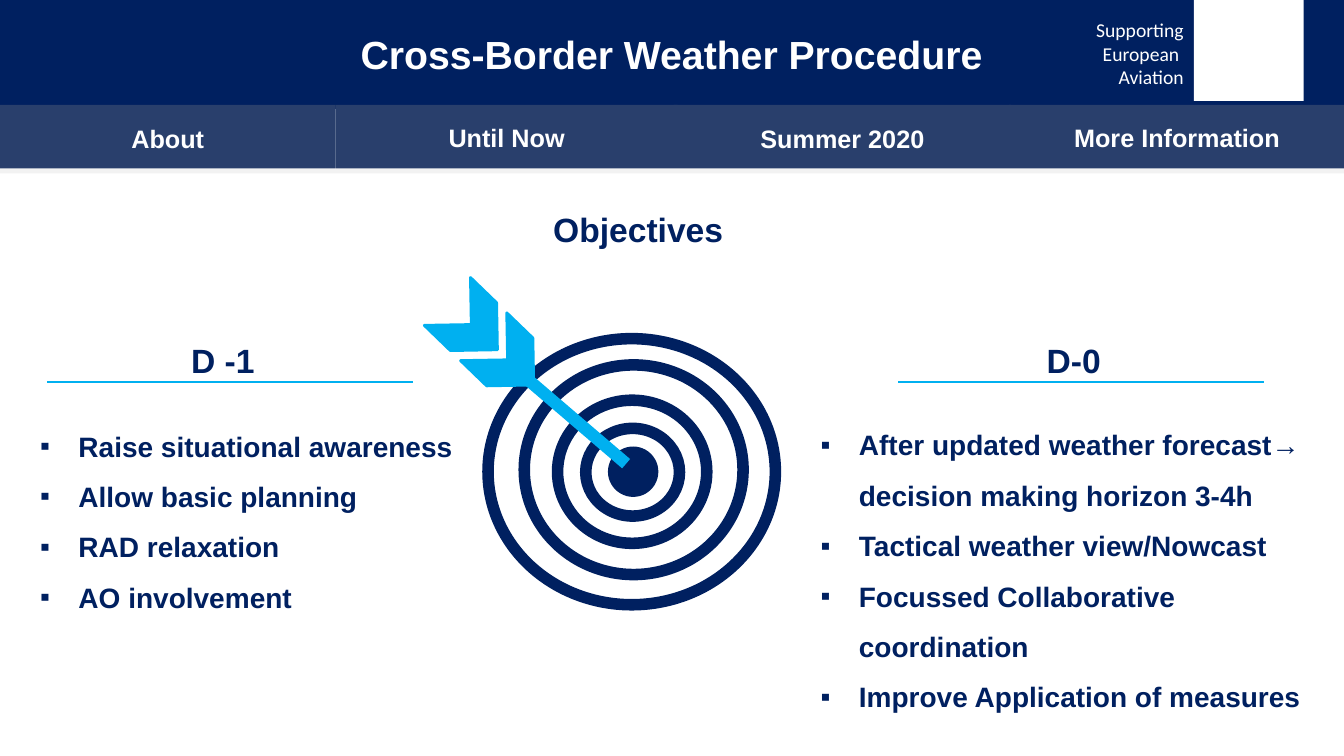
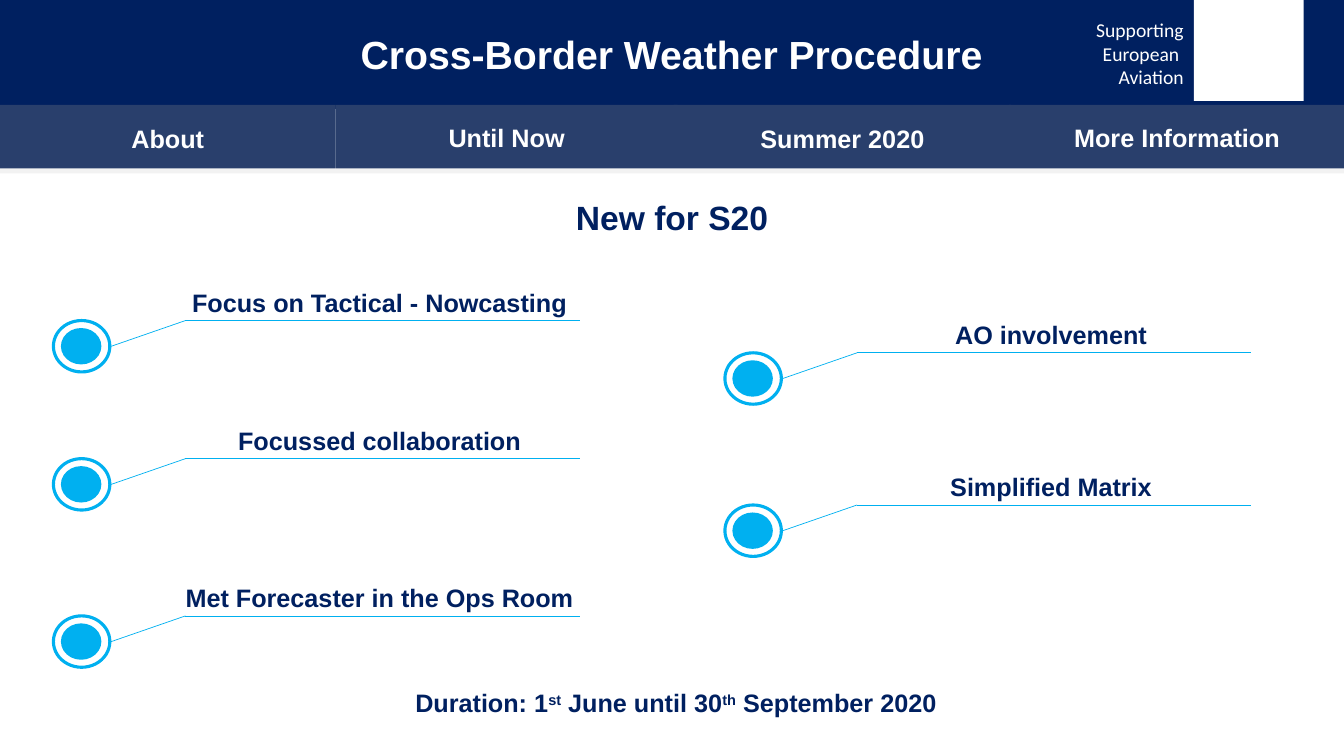
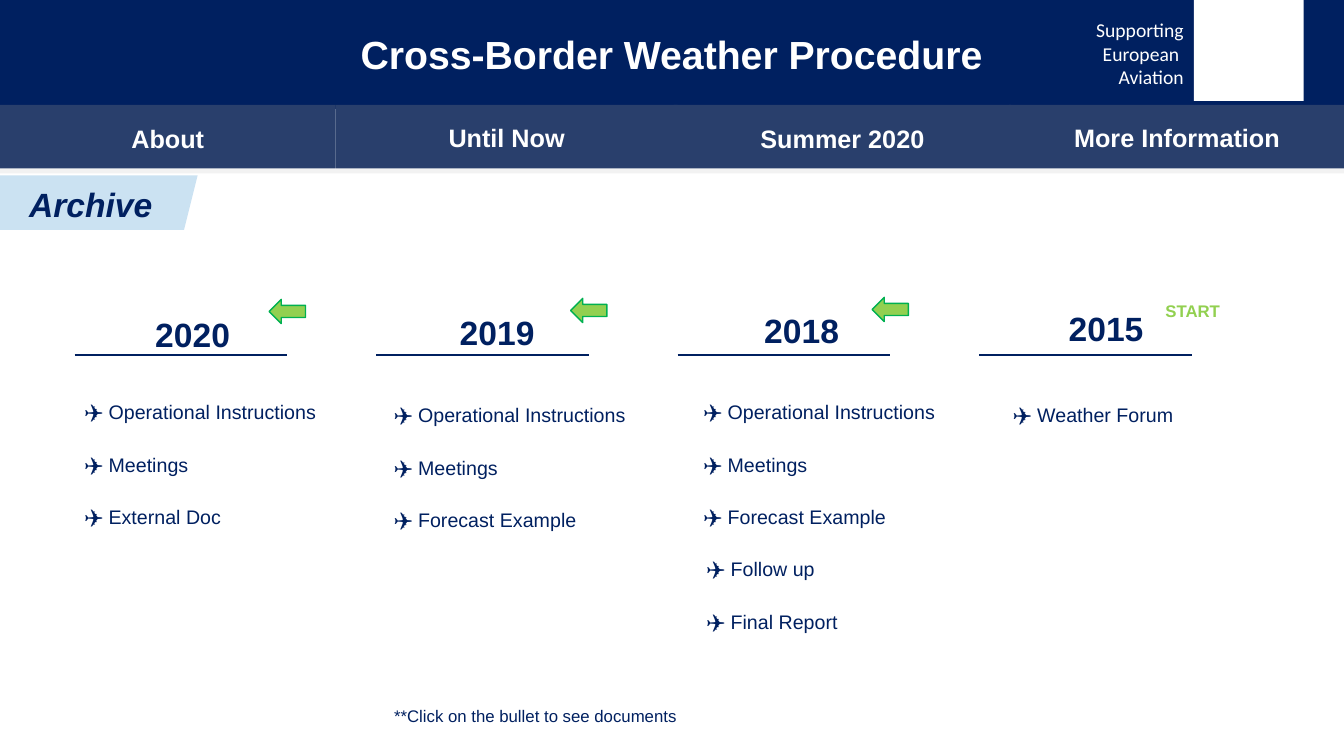
from lxml.etree import SubElement
from pptx import Presentation
from pptx.dml.color import RGBColor
from pptx.enum.shapes import MSO_CONNECTOR, MSO_SHAPE
from pptx.enum.text import MSO_ANCHOR, PP_ALIGN
from pptx.oxml.ns import qn
from pptx.util import Inches, Pt

COLORS = {
    "navy": "002060",
    "menu": "293F6C",
    "sky": "00B0F0",
    "white": "FFFFFF",
    "strip": "F2F2F2",
    "tag": "7FB7DF",
    "lime": "92D050",
    "green": "00B050",
}

# Text styles: font values plus a colour name
STYLES = {
    "title": ({"name": "Arial", "size": Pt(28), "bold": True}, "white"),
    "menu": ({"name": "Arial", "size": Pt(18), "bold": True}, "white"),
    "tagline": ({"name": "Calibri", "size": Pt(14)}, "white"),
    "heading": ({"name": "Arial", "size": Pt(24), "bold": True}, "navy"),
    "archive": ({"name": "Arial", "size": Pt(24), "bold": True, "italic": True}, "navy"),
    "bullet": ({"name": "Arial", "size": Pt(20), "bold": True}, "navy"),
    "topic": ({"name": "Arial", "size": Pt(18), "bold": True}, "navy"),
    "document": ({"name": "Arial", "size": Pt(14)}, "navy"),
    "note": ({"name": "Arial", "size": Pt(12)}, "navy"),
    "start": ({"name": "Arial", "size": Pt(12), "bold": True}, "lime"),
}

# Menu cells: text, left, width, height
MENU = [
    ("About", 0, 3.33, 0.66),
    ("Summer 2020", 6.68, 3.35, 0.66),
    ("Until Now", 3.33, 3.39, 0.64),
    ("More Information", 10.01, 3.33, 0.65),
]

# Target rings: left, top, width, height
TARGET_RINGS = [
    (5.81, 4.25, 0.93, 0.87),
    (5.53, 3.97, 1.48, 1.42),
    (5.2, 3.62, 2.17, 2.08),
    (4.84, 3.36, 2.85, 2.64),
]

PLANNING = [
    "Raise situational awareness",
    "Allow basic planning",
    "RAD relaxation",
    "AO involvement",
]
TACTICAL = [
    "After updated weather forecast→ decision making horizon 3-4h",
    "Tactical weather view/Nowcast",
    "Focussed Collaborative coordination",
    "Improve Application of measures",
]

# Topics: text, left of the ring, top of the ring
TOPICS = [
    ("Focus on Tactical - Nowcasting", 0.53, 3.18),
    ("Focussed collaboration", 0.53, 4.55),
    ("AO involvement", 7.19, 3.5),
    ("Simplified Matrix", 7.19, 5.01),
    ("Met Forecaster in the Ops Room", 0.53, 6.11),
]

DURATION = [
    ("Duration: 1", False),
    ("st", True),
    (" June until 30", False),
    ("th", True),
    (" September 2020", False),
]

# Archive columns: year, top of the first document, documents
ARCHIVE = [
    ("2020", 3.92, ["Operational Instructions", "Meetings", "External Doc"]),
    ("2019", 3.95, ["Operational Instructions", "Meetings", "Forecast Example"]),
    ("2018", 3.92, ["Operational Instructions", "Meetings", "Forecast Example",
                    "Follow up", "Final Report"]),
    ("2015", 3.95, ["Weather Forum"]),
]


def rgb(color):
    return RGBColor.from_string(COLORS[color])


def format_font(font, style):
    values, color = STYLES[style]
    for name, value in values.items():
        setattr(font, name, value)
    font.color.rgb = rgb(color)


def add_shape(page, kind, at, fill=None, line=None, width=1):
    shape = page.shapes.add_shape(kind, *map(Inches, at))
    shape.shadow.inherit = False
    if fill:
        shape.fill.solid()
        shape.fill.fore_color.rgb = rgb(fill)
    else:
        shape.fill.background()
    if line:
        shape.line.color.rgb = rgb(line)
        shape.line.width = Pt(width)
    else:
        shape.line.fill.background()
    return shape


def add_band(page, at, fill, text, style):
    band = add_shape(page, MSO_SHAPE.RECTANGLE, at, fill)
    band.text_frame.vertical_anchor = MSO_ANCHOR.MIDDLE
    para = band.text_frame.paragraphs[0]
    para.text = text
    para.alignment = PP_ALIGN.CENTER
    format_font(para.font, style)


def add_text(page, at, text, style, align=PP_ALIGN.LEFT):
    box = page.shapes.add_textbox(*map(Inches, at))
    box.text_frame.word_wrap = True
    para = box.text_frame.paragraphs[0]
    para.text = text
    para.alignment = align
    format_font(para.font, style)
    return para


def add_bullets(page, at, texts):
    box = page.shapes.add_textbox(*map(Inches, at))
    frame = box.text_frame
    frame.word_wrap = True
    for index, text in enumerate(texts):
        para = frame.add_paragraph() if index else frame.paragraphs[0]
        para.text = text
        para.line_spacing = 1.5
        properties = para._p.get_or_add_pPr()
        properties.set("marL", str(Inches(0.38)))
        properties.set("indent", str(-Inches(0.38)))
        SubElement(properties, qn("a:buFont"), typeface="Arial")
        SubElement(properties, qn("a:buChar"), char="▪")
        format_font(para.font, "bullet")


def add_line(page, start, end, color, width):
    line = page.shapes.add_connector(MSO_CONNECTOR.STRAIGHT, *map(Inches, start + end))
    line.line.color.rgb = rgb(color)
    line.line.width = Pt(width)
    SubElement(line._element.spPr, qn("a:effectLst"))


def add_page(deck):
    """Add a page with the title band, tagline and menu."""
    page = deck.slides.add_slide(deck.slide_layouts[6])
    add_band(page, (-0.02, -0.01, 13.36, 1.09), "navy",
             "Cross-Border Weather Procedure", "title")
    add_shape(page, MSO_SHAPE.RECTANGLE, (11.84, -0.11, 1.09, 1.11), "white")
    add_text(page, (10.27, 0.13, 1.57, 0.81), "Supporting European \vAviation",
             "tagline", PP_ALIGN.RIGHT)
    for text, left, width, height in MENU:
        add_band(page, (left, 1.04, width, height), "menu", text, "menu")
    add_shape(page, MSO_SHAPE.RECTANGLE, (-0.01, 1.67, 13.39, 0.05), "strip")
    return page


def add_target(page):
    circle = MSO_SHAPE.FLOWCHART_CONNECTOR
    add_shape(page, circle, (6.03, 4.43, 0.5, 0.5), "navy")
    for at in TARGET_RINGS:
        add_shape(page, circle, at, line="navy", width=8.25)
    # Arrow with two feathers
    for left, top in ((4.34, 2.9), (4.7, 3.25)):
        feather = add_shape(page, MSO_SHAPE.CHEVRON, (left, top, 0.69, 0.66), "sky", "sky", 2)
        feather.rotation = 44
    add_line(page, (5.24, 3.77), (6.21, 4.6), "sky", 8.75)


def add_topic(page, text, left, top):
    circle = MSO_SHAPE.FLOWCHART_CONNECTOR
    add_text(page, (left + 0.72, top - 0.38, 5.03, 0.4), text, "topic", PP_ALIGN.CENTER)
    add_shape(page, circle, (left, top, 0.56, 0.51), line="sky", width=2.25)
    add_shape(page, circle, (left + 0.09, top + 0.09, 0.37, 0.33), "sky", "sky", 2.25)
    bend = (left + 1.31, top)
    add_line(page, (left + 0.56, top + 0.26), bend, "sky", 0.5)
    add_line(page, bend, (left + 5.22, top), "sky", 0.5)


def add_archive_tag(page):
    tag = add_shape(page, MSO_SHAPE.PARALLELOGRAM, (-0.21, 1.74, 2.17, 0.54), "tag")
    color = tag._element.spPr.find(qn("a:solidFill"))[0]
    SubElement(color, qn("a:alpha"), val="40000")
    add_text(page, (0.19, 1.78, 1.55, 0.5), "Archive", "archive")


def add_archive_column(page, column, year, top, documents):
    left = 0.74 + 2.99 * column
    add_line(page, (left, 3.52), (left + 2.11, 3.52), "navy", 1.25)
    add_text(page, (1.35 + 3.02 * column, 3.07 - 0.02 * column, 1.12, 0.5), year,
             "heading", PP_ALIGN.CENTER)
    if column < len(ARCHIVE) - 1:
        add_shape(page, MSO_SHAPE.LEFT_ARROW,
                  (left + 1.93, 2.97 - 0.01 * column, 0.36, 0.24), "lime", "green")
    for row, text in enumerate(documents):
        shift = 0.03 if row > 2 else 0
        add_text(page, (0.74 + 3.07 * column + shift, top + 0.52 * row, 2.63, 0.34),
                 f"✈ {text}", "document")


def build_objectives(deck):
    page = add_page(deck)
    add_target(page)
    add_text(page, (4.68, 2.02, 3.3, 0.5), "Objectives", "heading", PP_ALIGN.CENTER)
    for text, left, rule_left in (("D -1", 0.56, 0.47), ("D-0", 9, 8.91)):
        add_text(page, (left, 3.32, 3.3, 0.5), text, "heading", PP_ALIGN.CENTER)
        add_line(page, (rule_left, 3.79), (rule_left + 3.63, 3.79), "sky", 1.5)
    add_bullets(page, (0.3, 4.04, 4.6, 2.12), PLANNING)
    add_bullets(page, (8.04, 4.03, 4.99, 3.13), TACTICAL)


def build_news(deck):
    page = add_page(deck)
    add_text(page, (4.31, 1.9, 4.71, 0.5), "New for S20", "heading", PP_ALIGN.CENTER)
    for text, left, top in TOPICS:
        add_topic(page, text, left, top)
    # Duration with raised ordinals
    para = add_text(page, (4.02, 6.77, 5.78, 0.4), "", "topic")
    for text, raised in DURATION:
        span = para.add_run()
        span.text = text
        format_font(span.font, "topic")
        if raised:
            span._r.get_or_add_rPr().set("baseline", "30000")


def build_archive(deck):
    page = add_page(deck)
    add_archive_tag(page)
    for column, (year, top, documents) in enumerate(ARCHIVE):
        add_archive_column(page, column, year, top, documents)
    add_text(page, (11.46, 2.93, 0.77, 0.3), "START", "start")
    add_text(page, (3.81, 6.95, 3.62, 0.3), "**Click on the bullet to see documents", "note")


def main():
    deck = Presentation()
    deck.slide_width = Inches(13.33)
    deck.slide_height = Inches(7.5)
    build_objectives(deck)
    build_news(deck)
    build_archive(deck)
    deck.save("out.pptx")


if __name__ == "__main__":
    main()
